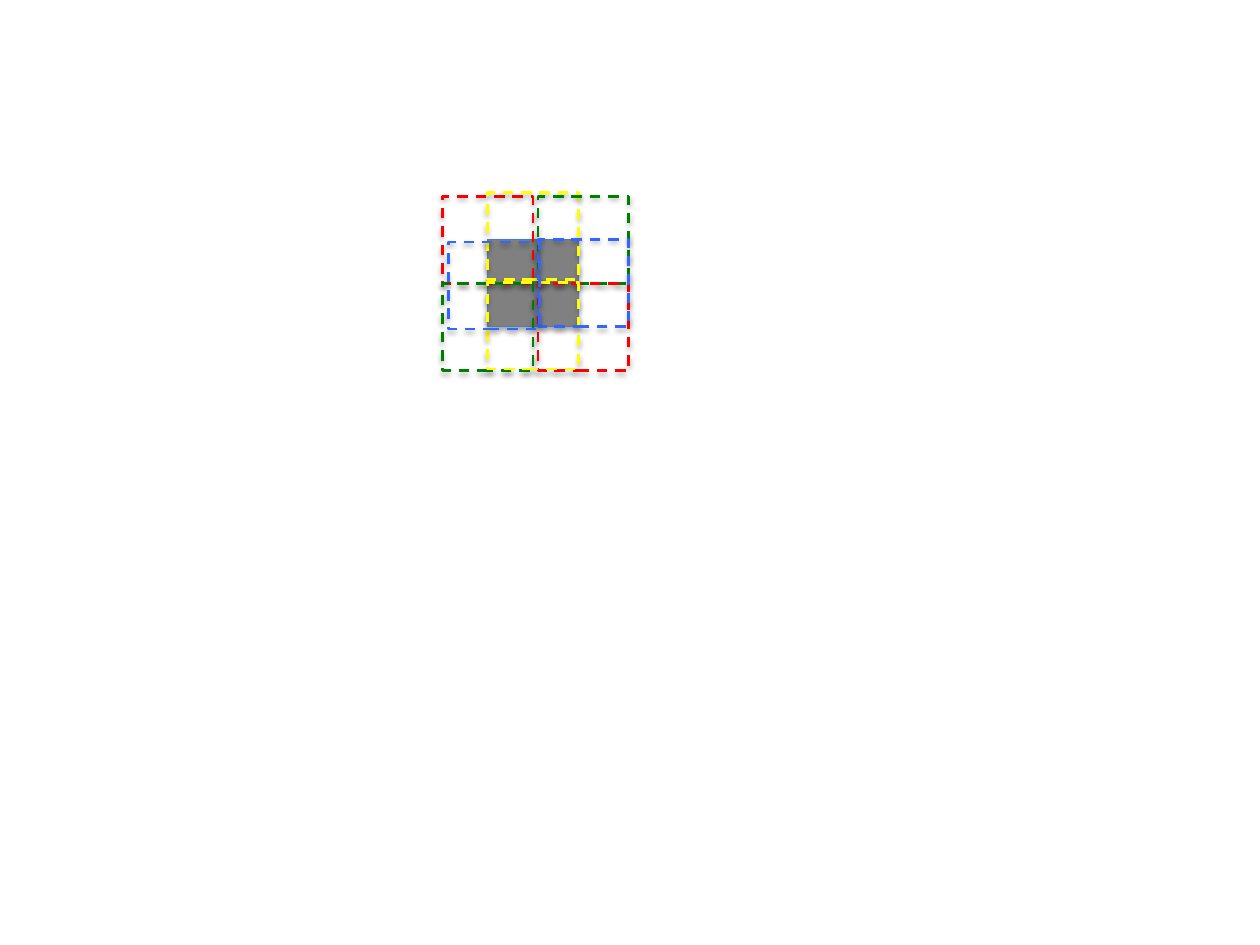
"""Draws a grey square under eight dashed, overlapping windows."""
from lxml import etree
from pptx import Presentation
from pptx.dml.color import RGBColor
from pptx.enum.dml import MSO_LINE
from pptx.enum.shapes import MSO_SHAPE
from pptx.oxml.ns import qn
from pptx.util import Inches, Pt

RECT = MSO_SHAPE.RECTANGLE
DASH = MSO_LINE.DASH
GREY = RGBColor(0x80, 0x80, 0x80)
STEEL = RGBColor(0x4B, 0x7E, 0xBC)
RED = RGBColor(0xFF, 0x00, 0x00)
YELLOW = RGBColor(0xFF, 0xFF, 0x00)
GREEN = RGBColor(0x00, 0x80, 0x00)
BLUE = RGBColor(0x33, 0x66, 0xFF)

WIDTH, HEIGHT = 0.72, 0.69
LEFT, MID, RIGHT = 3.51, 3.87, 4.27
TOP, CENTRE = 1.56, 1.9
LOW = TOP + HEIGHT


class Canvas:
    """Holds the window style and the current slide."""

    def __init__(self, slide):
        self.slide = slide
        self.blur, self.drop, self.alpha = Pt(3.1), Pt(1.8), 35

    def shade(self, shape):
        """Give a shape a soft shadow straight below it."""
        shape.shadow.inherit = False
        effects = shape._element.spPr.find(qn("a:effectLst"))
        outer = etree.SubElement(
            effects, qn("a:outerShdw"), blurRad=str(self.blur),
            dist=str(self.drop), dir="5400000", rotWithShape="0")
        tint = etree.SubElement(outer, qn("a:srgbClr"), val="000000")
        etree.SubElement(tint, qn("a:alpha"), val=str(self.alpha * 1000))

    def box(self, left, top, line, weight=1.5, fill=None):
        """Add a filled solid box or an open dashed one."""
        shape = self.slide.shapes.add_shape(
            RECT, Inches(left), Inches(top), Inches(WIDTH), Inches(HEIGHT))
        shape.line.color.rgb = line
        shape.line.width = Pt(weight)
        if fill is None:
            shape.fill.background()
            shape.line.dash_style = DASH
        else:
            shape.fill.solid()
            shape.fill.fore_color.rgb = fill
        self.shade(shape)


WINDOWS = [
    (LEFT, TOP, RED),
    (MID, 1.53, YELLOW),
    (RIGHT, TOP, GREEN),
    (RIGHT, LOW, RED),
    (LEFT, LOW, GREEN),
    (MID, 2.24, YELLOW),
    (RIGHT, CENTRE, BLUE),
    (3.56, 1.92, BLUE),
]

deck = Presentation()
deck.slide_width, deck.slide_height = Inches(10), Inches(7.5)
canvas = Canvas(deck.slides.add_slide(deck.slide_layouts[6]))
canvas.box(MID, CENTRE, STEEL, weight=0.75, fill=GREY)
for left, top, line in WINDOWS:
    canvas.box(left, top, line)
deck.save("out.pptx")
